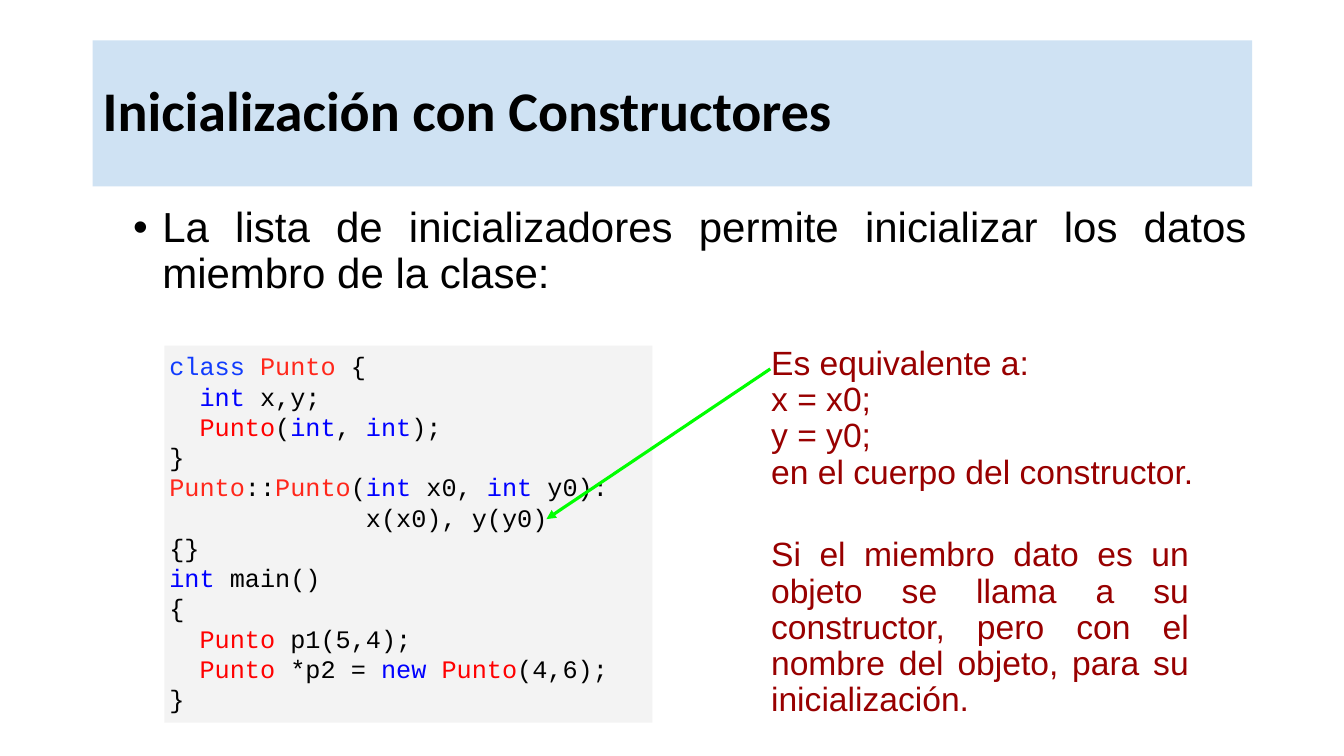
from pptx import Presentation
from pptx.dml.color import RGBColor
from pptx.enum.shapes import MSO_CONNECTOR as CONN, MSO_SHAPE as SHAPE
from pptx.enum.text import MSO_ANCHOR as ANCHOR, PP_ALIGN as ALIGN
from pptx.oxml.ns import qn
from pptx.util import Inches, Pt
from lxml.etree import SubElement

W, H = 13.33, 7.5
COLORS = {
    "text": "000000", "band": "CFE2F3", "panel": "F3F3F3", "note": "980000",
    "arrow": "00FF00", "class": "113CFD", "name": "FF271B",
    "type": "FF0000", "keyword": "0000FF",
}
CHAR = 0.15  # width of one code character at 18 pt

INT = ("int", "keyword")
NAME = ("Punto", "name")
TYPE = ("Punto", "type")

# Each line: indent in characters, then its runs; a plain string is black.
CODE = [
    (0, [("class ", "class"), NAME, " {"]),
    (2, [INT, " x,y;"]),
    (2, [TYPE, "(", INT, ", ", INT, ");"]),
    (0, ["}"]),
    (0, [NAME, "::", NAME, "(", INT, " x0, ", INT, " y0):"]),
    (13, ["x(x0), y(y0)"]),
    (0, ["{}"]),
    (0, [INT, " main()"]),
    (0, ["{"]),
    (2, [TYPE, " p1(5,4);"]),
    (2, [TYPE, " *p2 = ", ("new ", "keyword"), TYPE, "(4,6);"]),
    (0, ["}"]),
]
EQUIVALENT = ["Es equivalente a:", "x = x0;", "y = y0;",
              "en el cuerpo del constructor."]
MEMBER = ["Si el miembro dato es un objeto se llama a su constructor, pero con "
          "el nombre del objeto, para su inicialización."]
INTRO = ("La lista de inicializadores permite inicializar los datos miembro "
         "de la clase:")


def rgb(name):
    return RGBColor.from_string(COLORS[name])


def add_panel(s, box, fill=None, inset=0.1, anchor=ANCHOR.TOP):
    """Add a filled rectangle or a plain text box and return its text frame."""
    box = [Inches(v) for v in box]
    if fill:
        sp = s.shapes.add_shape(SHAPE.RECTANGLE, *box)
        sp.shadow.inherit = False
        sp.fill.solid()
        sp.fill.fore_color.rgb = rgb(fill)
        sp.line.fill.background()
    else:
        sp = s.shapes.add_textbox(*box)
    tf = sp.text_frame
    tf.word_wrap = True
    tf.vertical_anchor = anchor
    tf.margin_left = tf.margin_right = Inches(inset)
    tf.margin_top = tf.margin_bottom = Inches(inset)
    return tf


def next_paragraph(tf, align=ALIGN.LEFT, spacing=0.9):
    p = tf.paragraphs[0] if not tf.paragraphs[0].runs else tf.add_paragraph()
    p.alignment = align
    p.line_spacing = spacing
    return p


def set_indent(p, left, first=0):
    pPr = p._p.get_or_add_pPr()
    pPr.set("marL", str(Inches(left)))
    pPr.set("indent", str(Inches(first)))
    return pPr


def add_run(p, text, size, font="Arial", color="text", bold=False):
    r = p.add_run()
    r.text = text
    r.font.size = Pt(size)
    r.font.name = font
    r.font.bold = bold
    r.font.color.rgb = rgb(color)


def add_title(s, box, text):
    tf = add_panel(s, box, "band", anchor=ANCHOR.MIDDLE)
    add_run(next_paragraph(tf), text, 40, "Calibri", bold=True)


def add_bullet(s, box, text):
    p = next_paragraph(add_panel(s, box, inset=0.05), ALIGN.JUSTIFY)
    pPr = set_indent(p, 0.64, -0.29)
    SubElement(pPr, qn("a:buFont")).set("typeface", "Arial")
    SubElement(pPr, qn("a:buChar")).set("char", "•")
    add_run(p, text, 30)


def add_code(s, box, lines):
    tf = add_panel(s, box, "panel", inset=0.05)
    for indent, tokens in lines:
        p = next_paragraph(tf, spacing=1.0)
        set_indent(p, indent * CHAR)
        for token in tokens:
            text, color = (token, "text") if isinstance(token, str) else token
            add_run(p, text, 18, "Courier New", color)


def add_note(s, box, lines):
    tf = add_panel(s, box, anchor=ANCHOR.MIDDLE)
    for line in lines:
        add_run(next_paragraph(tf, ALIGN.JUSTIFY), line, 24, color="note")


def add_arrow(s, start, end):
    c = s.shapes.add_connector(CONN.STRAIGHT,
                               *[Inches(v) for v in (*start, *end)])
    c.line.color.rgb = rgb("arrow")
    c.line.width = Pt(2.25)
    SubElement(c.line._get_or_add_ln(), qn("a:tailEnd")).set("type", "triangle")
    SubElement(c._element.spPr, qn("a:effectLst"))


def main():
    prs = Presentation()
    prs.slide_width, prs.slide_height = Inches(W), Inches(H)
    s = prs.slides.add_slide(prs.slide_layouts[6])

    left, width = 0.92, 11.5
    note_left = 7.55
    add_title(s, (left, 0.4, width, 1.45), "Inicialización con Constructores")
    add_bullet(s, (left, 2, width, 4.76), INTRO)
    add_code(s, (1.63, 3.43, 4.84, 3.74), CODE)
    add_note(s, (note_left, 3.55, 4.51, 1.21), EQUIVALENT)
    add_arrow(s, (note_left + 0.09, 3.66), (5.42, 5.15))
    add_note(s, (note_left, 5.47, 4.34, 1.53), MEMBER)
    prs.save("out.pptx")


if __name__ == "__main__":
    main()
